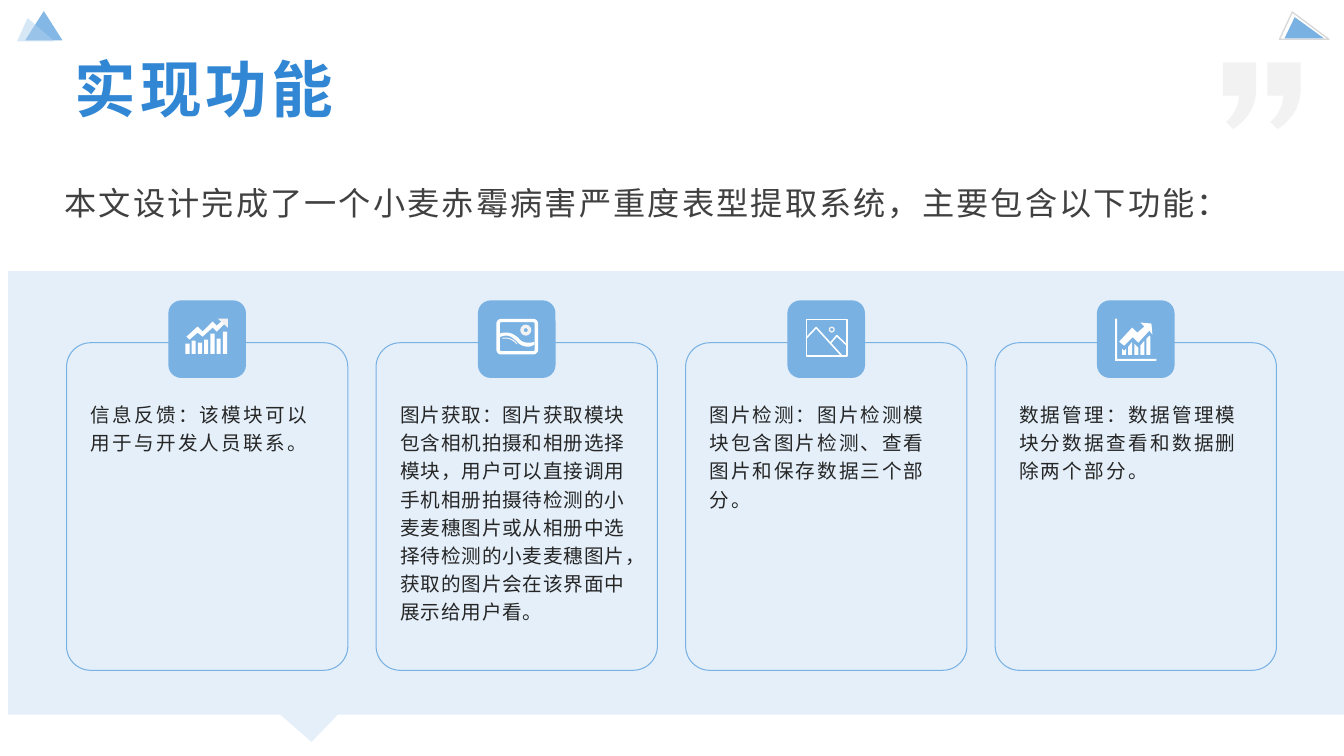
import pptx
import pptx.util
import pptx.dml.color
import pptx.enum.shapes
import pptx.enum.text
import pptx.oxml.ns
import lxml.etree

Inches, Pt = pptx.util.Inches, pptx.util.Pt
RGBColor = pptx.dml.color.RGBColor
SHAPE = pptx.enum.shapes.MSO_SHAPE
ANCHOR = pptx.enum.text.MSO_ANCHOR
qn = pptx.oxml.ns.qn

FONT = "Noto Sans CJK SC"
BLUE = RGBColor(0x31, 0x87, 0xD4)
SKY = RGBColor(0x79, 0xB1, 0xE3)
PALE = RGBColor(0xAF, 0xD0, 0xEE)
WHITE = RGBColor(0xFF, 0xFF, 0xFF)
QUOTE_GRAY = RGBColor(0xF2, 0xF2, 0xF2)
LINE_GRAY = RGBColor(0xD9, 0xD9, 0xD9)
INTRO_GRAY = RGBColor(0x40, 0x40, 0x40)
INK = RGBColor(0x26, 0x26, 0x26)

# Content
TITLE = "实现功能"
INTRO = "本文设计完成了一个小麦赤霉病害严重度表型提取系统，主要包含以下功能："
CARDS = [  # text, letter spacing in points
    ("信息反馈：该模块可以用于与开发人员联系。", 1.6),
    ("图片获取：图片获取模块包含相机拍摄和相册选择模块，用户可以直接调用手机相册拍摄待检测的"
     "小麦麦穗图片或从相册中选择待检测的小麦麦穗图片，获取的图片会在该界面中展示给用户看。", 0.6),
    ("图片检测：图片检测模块包含图片检测、查看图片和保存数据三个部分。", 1.4),
    ("数据管理：数据管理模块分数据查看和数据删除两个部分。", 1.6),
]
CARD_LEFT, CARD_PITCH = 0.66, 3.07

# Outlines: a pair is a corner, six numbers are a Bezier curve
PANEL = [(0.08, 2.69), (13.33, 2.69), (13.33, 7.09), (3.35, 7.09), (3.09, 7.36),
         (2.78, 7.09), (0.08, 7.09)]
QUOTE_MARK = [(0, 0), (0.33, 0), (0.33, 0.29), (0.32, 0.54, 0.1, 0.66, 0.1, 0.66),
              (0.09, 0.65), (0.04, 0.6), (0.03, 0.59), (0.03, 0.59, 0.15, 0.5, 0.16, 0.33),
              (0, 0.33)]

# Icon outlines, measured from the top left of the icon tile
BAR_HEIGHTS = [0.1, 0.13, 0.11, 0.14, 0.2, 0.15, 0.22]
TREND = [(0.55, 0.19), (0.48, 0.25), (0.44, 0.21), (0.34, 0.31), (0.29, 0.26), (0.18, 0.36),
         (0.21, 0.39), (0.29, 0.32), (0.34, 0.36), (0.44, 0.27), (0.48, 0.31), (0.57, 0.22)]
TREND_HEAD = [(0.59, 0.18), (0.49, 0.18), (0.59, 0.27)]
WAVE = [(0.21, 0.33), (0.22, 0.33), (0.24, 0.32, 0.26, 0.32, 0.28, 0.32),
        (0.34, 0.32, 0.37, 0.35, 0.4, 0.37), (0.42, 0.4, 0.45, 0.42, 0.5, 0.42),
        (0.52, 0.42, 0.54, 0.42, 0.56, 0.41), (0.56, 0.44),
        (0.54, 0.45, 0.52, 0.46, 0.5, 0.46), (0.44, 0.46, 0.4, 0.43, 0.38, 0.4),
        (0.35, 0.38, 0.33, 0.35, 0.28, 0.35), (0.25, 0.35, 0.23, 0.36, 0.21, 0.37)]
RIPPLE = [(0.24, 0.38), (0.25, 0.37), (0.27, 0.37, 0.28, 0.37, 0.28, 0.37),
          (0.32, 0.37, 0.36, 0.39, 0.39, 0.43), (0.39, 0.44),
          (0.35, 0.4, 0.32, 0.38, 0.28, 0.38)]
PEAKS = [[(0.19, 0.37), (0.285, 0.27), (0.54, 0.55)],
         [(0.43, 0.42), (0.49, 0.35), (0.585, 0.44)]]
GROWTH = [
    [(0.25, 0.48), (0.27, 0.5), (0.29, 0.48), (0.29, 0.54), (0.25, 0.54)],
    [(0.31, 0.46), (0.35, 0.41), (0.35, 0.54), (0.31, 0.54)],
    [(0.37, 0.43), (0.41, 0.47), (0.41, 0.54), (0.37, 0.54)],
    [(0.43, 0.45), (0.47, 0.4), (0.47, 0.54), (0.43, 0.54)],
    [(0.49, 0.38), (0.52, 0.35), (0.53, 0.36), (0.53, 0.54), (0.49, 0.54)],
    [(0.43, 0.22), (0.54, 0.23), (0.55, 0.34), (0.52, 0.3), (0.41, 0.42), (0.36, 0.37),
     (0.35, 0.37), (0.27, 0.45), (0.22, 0.41), (0.35, 0.27), (0.4, 0.32), (0.47, 0.26)],
    [(0.18, 0.18), (0.2, 0.18), (0.2, 0.58), (0.59, 0.58), (0.59, 0.6), (0.18, 0.6)],
]

presentation = pptx.Presentation()
presentation.slide_width, presentation.slide_height = Inches(13.33), Inches(7.5)
slide = presentation.slides.add_slide(presentation.slide_layouts[6])


def paint(shape, fill=None, line=None, weight=1, alpha=None):
    shape.shadow.inherit = False
    if fill is None:
        shape.fill.background()
    else:
        shape.fill.solid()
        shape.fill.fore_color.rgb = fill
    if alpha is not None:
        color = shape._element.spPr.find(qn("a:solidFill"))[0]
        lxml.etree.SubElement(color, qn("a:alpha")).set("val", str(alpha * 1000))
    if line is None:
        shape.line.fill.background()
    else:
        shape.line.color.rgb = line
        shape.line.width = Pt(weight)


def add_preset(kind, left, top, width, height, adjust=None, **style):
    shape = slide.shapes.add_shape(kind, Inches(left), Inches(top), Inches(width), Inches(height))
    if adjust is not None:
        shape.adjustments[0] = adjust
    paint(shape, **style)


def flatten(outline, steps=8):
    points = []
    for node in outline:
        if len(node) == 2:
            points.append(node)
            continue
        curve = [points[-1], node[:2], node[2:4], node[4:]]
        for step in range(1, steps + 1):
            t = step / steps
            weights = [(1 - t) ** 3, 3 * t * (1 - t) ** 2, 3 * t * t * (1 - t), t ** 3]
            points.append(tuple(sum(w * p[axis] for w, p in zip(weights, curve))
                                for axis in (0, 1)))
    return points


def add_outlines(outlines, left=0, top=0, close=True, **style):
    builder = None
    for outline in outlines:
        points = [(Inches(left + x), Inches(top + y)) for x, y in flatten(outline)]
        if builder is None:
            builder = slide.shapes.build_freeform(*points[0])
        else:
            builder.move_to(*points[0])
        builder.add_line_segments(points[1:], close=close)
    paint(builder.convert_to_shape(), **style)


def add_text(text, left, top, width, height, size, color, spacing, bold=False,
             line_spacing=None, after=0, anchor=ANCHOR.TOP, insets=(0.1, 0.05)):
    frame = slide.shapes.add_textbox(Inches(left), Inches(top), Inches(width),
                                     Inches(height)).text_frame
    frame.word_wrap = True
    frame.vertical_anchor = anchor
    frame.margin_left = frame.margin_right = Inches(insets[0])
    frame.margin_top = frame.margin_bottom = Inches(insets[1])
    paragraph = frame.paragraphs[0]
    paragraph.space_after = Pt(after)
    if line_spacing:
        paragraph.line_spacing = line_spacing
    font = paragraph.font
    font.name, font.size, font.bold, font.color.rgb = FONT, Pt(size), bold, color
    run = paragraph.add_run()
    run.text = text
    properties = run._r.get_or_add_rPr()
    properties.set("spc", str(round(spacing * 100)))
    lxml.etree.SubElement(properties, qn("a:ea")).set("typeface", FONT)


def draw_bars_icon(left, top):
    bars = []
    for index, height in enumerate(BAR_HEIGHTS):
        x = 0.17 + index * 0.062
        bars.append([(x, 0.53 - height), (x + 0.04, 0.53 - height), (x + 0.04, 0.53), (x, 0.53)])
    add_outlines(bars + [TREND], left, top, fill=WHITE)
    add_outlines([TREND_HEAD], left, top, fill=QUOTE_GRAY)


def draw_photo_icon(left, top):
    add_preset(SHAPE.ROUNDED_RECTANGLE, left + 0.2, top + 0.2, 0.38, 0.32, 0.09,
               line=WHITE, weight=2.4)
    add_outlines([WAVE], left, top, fill=WHITE)
    add_outlines([RIPPLE], left, top, fill=QUOTE_GRAY)
    add_preset(SHAPE.DONUT, left + 0.42, top + 0.24, 0.11, 0.11, 0.32, fill=QUOTE_GRAY)


def draw_landscape_icon(left, top):
    add_preset(SHAPE.RECTANGLE, left + 0.19, top + 0.19, 0.4, 0.36, line=WHITE, weight=1.1)
    add_outlines(PEAKS, left, top, close=False, line=WHITE, weight=1.1)
    add_preset(SHAPE.DONUT, left + 0.41, top + 0.26, 0.06, 0.06, 0.22, fill=QUOTE_GRAY)


def draw_growth_icon(left, top):
    add_outlines(GROWTH, left, top, fill=WHITE)


# Corner triangles
add_preset(SHAPE.ISOSCELES_TRIANGLE, 0.25, 0.11, 0.37, 0.29, 0.5, fill=BLUE, alpha=60)
add_preset(SHAPE.ISOSCELES_TRIANGLE, 0.17, 0.18, 0.37, 0.23, 0.28, fill=PALE, alpha=50)
add_preset(SHAPE.ISOSCELES_TRIANGLE, 12.69, 0.12, 0.49, 0.27, 0.26, line=LINE_GRAY)
add_preset(SHAPE.ISOSCELES_TRIANGLE, 12.74, 0.17, 0.39, 0.21, 0.26, fill=SKY)

# Panel, quote marks and headings
add_outlines([PANEL], fill=SKY, alpha=20)
for mark_left in (12.13, 12.57):
    add_outlines([QUOTE_MARK], mark_left, 0.62, fill=QUOTE_GRAY)
add_text(TITLE, 0.67, 0.5, 10.5, 0.83, 44, BLUE, 2.8, bold=True, line_spacing=0.9,
         anchor=ANCHOR.MIDDLE, insets=(0.07, 0.03))
add_text(INTRO, 0.57, 1.68, 12, 0.67, 23, INTRO_GRAY, 1.5, after=8,
         anchor=ANCHOR.MIDDLE, insets=(0.07, 0.03))

# Function cards
ICONS = [draw_bars_icon, draw_photo_icon, draw_landscape_icon, draw_growth_icon]
for index, ((text, spacing), draw_icon) in enumerate(zip(CARDS, ICONS)):
    left = CARD_LEFT + index * CARD_PITCH
    add_preset(SHAPE.ROUNDED_RECTANGLE, left, 3.4, 2.79, 3.25, 0.086, line=SKY, weight=0.75)
    add_preset(SHAPE.ROUNDED_RECTANGLE, left + 1.01, 2.98, 0.77, 0.77, fill=SKY)
    add_text(text, left + 0.14, 3.9, 2.5, 2.58, 14, INK, spacing, line_spacing=1.2, after=8)
    draw_icon(left + 1.01, 2.98)

presentation.save("out.pptx")
